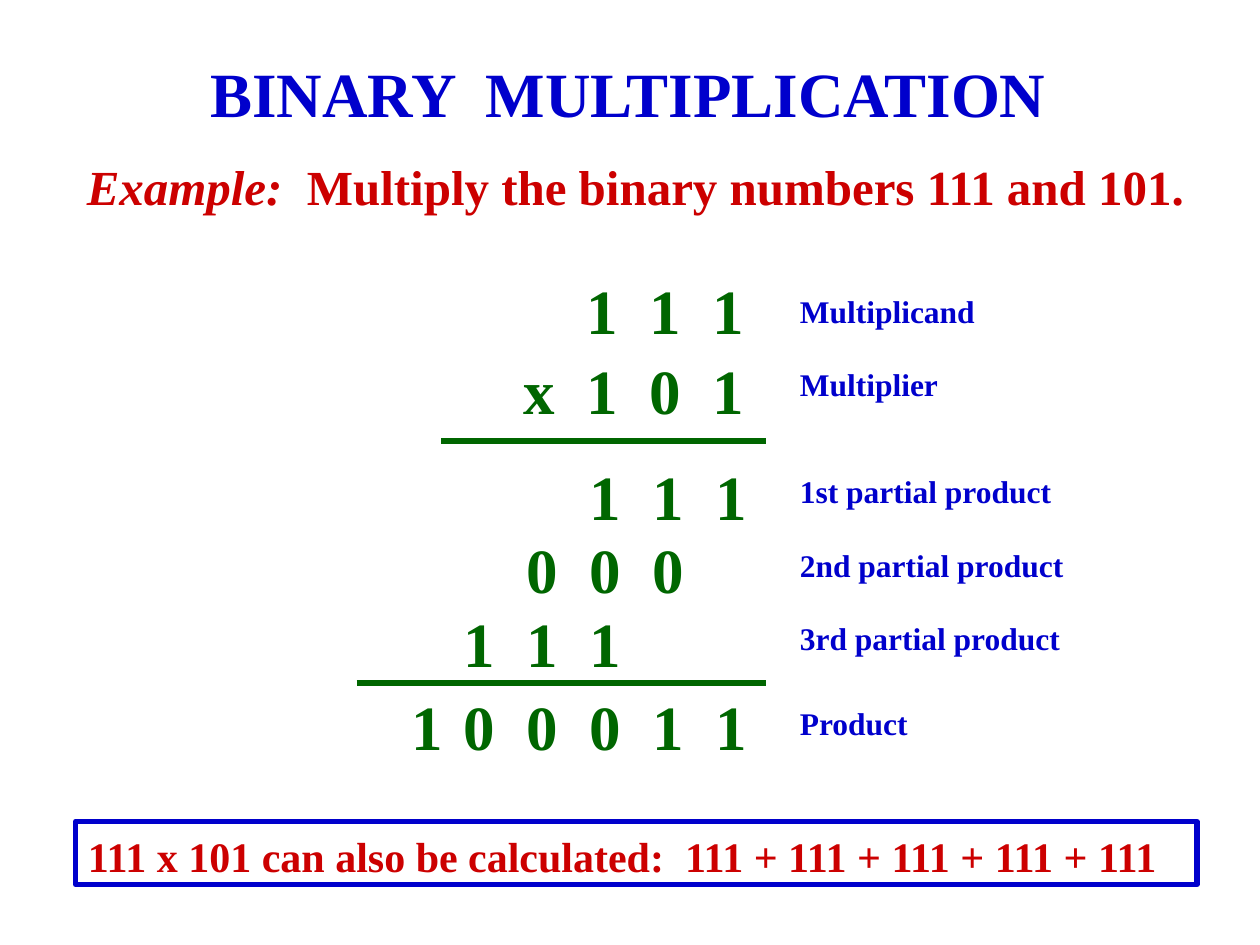
from dataclasses import dataclass

from lxml import etree
from pptx import Presentation
from pptx.dml.color import RGBColor
from pptx.enum.shapes import MSO_CONNECTOR, MSO_SHAPE
from pptx.enum.text import MSO_ANCHOR, MSO_AUTO_SIZE, PP_ALIGN
from pptx.oxml.ns import qn
from pptx.util import Inches, Pt

LEFT, CENTER, RIGHT = PP_ALIGN.LEFT, PP_ALIGN.CENTER, PP_ALIGN.RIGHT
TOP = MSO_ANCHOR.TOP
FIT = MSO_AUTO_SIZE.SHAPE_TO_FIT_TEXT
RECT = MSO_SHAPE.RECTANGLE
STRAIGHT = MSO_CONNECTOR.STRAIGHT


@dataclass(frozen=True)
class Theme:
    font: str = "Times New Roman"
    blue: RGBColor = RGBColor(0x00, 0x00, 0xCC)
    red: RGBColor = RGBColor(0xCC, 0x00, 0x00)
    green: RGBColor = RGBColor(0x00, 0x66, 0x00)
    large: int = 36
    medium: int = 28
    note: int = 24
    small: int = 18
    rule: int = 3
    spacing: float = 1.05


T = Theme()

prs = Presentation()
prs.slide_width, prs.slide_height = Inches(10), Inches(7.5)
s = prs.slides.add_slide(prs.slide_layouts[6])


def add_text(text, at, size, color, align=LEFT, wrap=True, lead="", border=None):
    box = [Inches(v) for v in at]
    if border is None:
        sp = s.shapes.add_textbox(*box)
    else:
        sp = s.shapes.add_shape(RECT, *box)
        sp.shadow.inherit = False
        sp.fill.background()
        sp.line.color.rgb = border
        sp.line.width = Pt(T.rule)
    tf = sp.text_frame
    tf.word_wrap = wrap
    tf.auto_size = FIT
    tf.vertical_anchor = TOP
    for i, line in enumerate(text.split("\n")):
        p = tf.paragraphs[0] if i == 0 else tf.add_paragraph()
        p.alignment = align
        p.line_spacing = T.spacing
        for part, italic in ((lead, True), (line, False)):
            if part:
                r = p.add_run()
                r.text = part
                r.font.name = T.font
                r.font.size = Pt(size)
                r.font.bold = True
                r.font.italic = italic
                r.font.color.rgb = color


add_text("BINARY  MULTIPLICATION", (1.51, 0.35, 6.95, 0.7), T.large, T.blue,
         align=CENTER, wrap=False)
add_text("Multiply the binary numbers 111 and 101.", (0.59, 1.17, 8.95, 0.57),
         T.medium, T.red, wrap=False, lead="Example:  ")

add_text("1  1  1\nx  1  0  1", (3.25, 2.08, 2.75, 1.3), T.large, T.green, align=RIGHT)

digit_rows = [(3.55, "111", 0), (4.13, "000", 1), (4.72, "111", 2), (5.38, "00011", 0)]
for top, digits, shift in digit_rows:
    for place, digit in enumerate(reversed(digits), start=shift):
        add_text(digit, (5.58 - 0.5 * place, top, 0.33, 0.7), T.large, T.green, align=CENTER)
add_text("1", (3.17, 5.38, 0.33, 0.7), T.large, T.green, align=CENTER)

for left, y in [(3.5, 3.5), (2.83, 5.42)]:
    rule = s.shapes.add_connector(STRAIGHT, Inches(left), Inches(y), Inches(6.08), Inches(y))
    rule.line.color.rgb = T.green
    rule.line.width = Pt(T.rule)
    etree.SubElement(rule._element.spPr, qn("a:effectLst"))

labels = [
    ("Multiplicand", 2.25, 1.67),
    ("Multiplier", 2.83, 1.67),
    ("1st partial product", 3.68, 2.33),
    ("2nd partial product", 4.27, 2.5),
    ("3rd partial product", 4.85, 2.75),
    ("Product", 5.52, 1.67),
]
for label, top, width in labels:
    add_text(label, (6.25, top, width, 0.4), T.small, T.blue)

add_text("111 x 101 can also be calculated:  111 + 111 + 111 + 111 + 111",
         (0.6, 6.52, 8.9, 0.5), T.note, T.red, wrap=False, border=T.blue)

prs.save("out.pptx")
